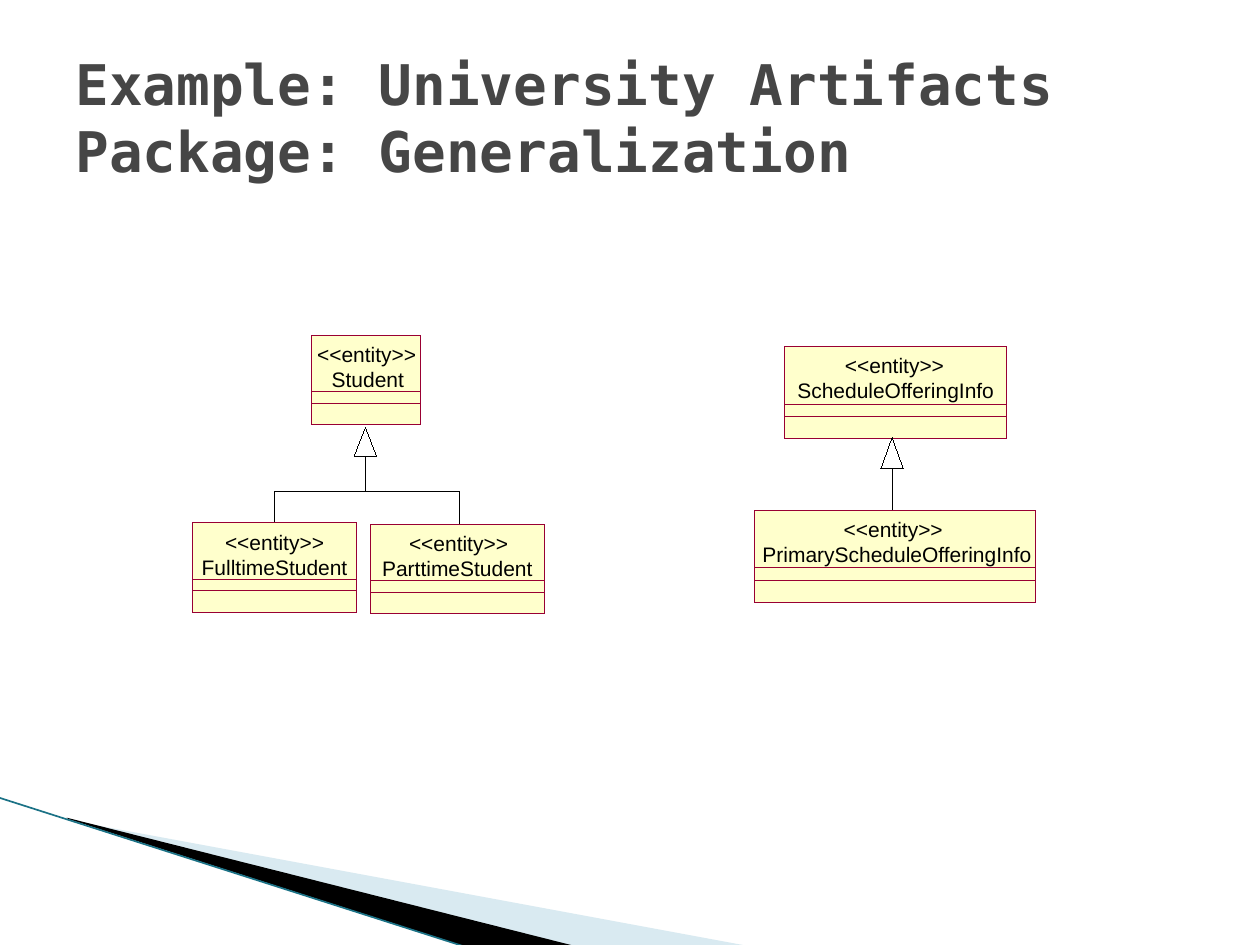
from pptx import Presentation
from pptx.dml.color import RGBColor
from pptx.enum.shapes import MSO_CONNECTOR, MSO_SHAPE
from pptx.enum.text import MSO_ANCHOR, MSO_AUTO_SIZE, PP_ALIGN
from pptx.oxml.ns import qn
from pptx.util import Inches, Pt
from lxml import etree

RECT, STRAIGHT = MSO_SHAPE.RECTANGLE, MSO_CONNECTOR.STRAIGHT
MIDDLE, CENTER = MSO_ANCHOR.MIDDLE, PP_ALIGN.CENTER
HAIRLINE = 0.01  # points; a width of 0 would fall back to the theme's line
rgb = RGBColor.from_string

prs = Presentation()
prs.slide_width, prs.slide_height = Inches(10), Inches(7.5)
s = prs.slides.add_slide(prs.slide_layouts[6])


def add_line(x1, y1, x2, y2, color="000000", width=HAIRLINE):
    cn = s.shapes.add_connector(STRAIGHT, *map(Inches, (x1, y1, x2, y2)))
    cn.line.color.rgb = rgb(color)
    cn.line.width = Pt(width)
    etree.SubElement(cn._element.spPr, qn("a:effectLst"))


def add_polygon(points, fill=None):
    pts = [(Inches(x), Inches(y)) for x, y in points]
    fb = s.shapes.build_freeform(*pts[0])
    fb.add_line_segments(pts[1:], close=True)
    sp = fb.convert_to_shape()
    sp.shadow.inherit = False
    if fill:
        sp.fill.solid()
        sp.fill.fore_color.rgb = rgb(fill)
        sp.line.fill.background()
    else:
        sp.fill.background()
        sp.line.color.rgb = rgb("000000")
        sp.line.width = Pt(HAIRLINE)
    return sp


# Corner wedges
wedge = add_polygon([(0.55, 6.51), (5.95, 7.51), (4.56, 7.51), (0.55, 6.5)], "A0CBDC")
color = wedge.fill._xPr.find(qn("a:solidFill"))[0]
etree.SubElement(color, qn("a:alpha")).set("val", "40000")
add_polygon([(0.53, 6.49), (4.57, 7.51), (3.72, 7.52), (0.54, 6.5)], "000000")
add_line(-0.01, 6.33, 3.71, 7.52, "1B7286", 0.95)

# Generalization lines: stems, branches and the bar joining them
for line in [(7.08, 4.17, 7.08, 3.72), (3.65, 4.17, 3.65, 3.9),
             (2.18, 4.23, 2.18, 3.9), (2.9, 3.9, 2.9, 3.63),
             (2.18, 3.9, 3.65, 3.9)]:
    add_line(*line)

# Entity classes: name, left, top, width, height, compartment height,
# centre of the name, centre of the stereotype
entities = [
    ("FulltimeStudent", 1.53, 4.15, 1.3, 0.71, 0.26, 2.18, 2.18),
    ("ParttimeStudent", 2.94, 4.16, 1.38, 0.71, 0.26, 3.63, 3.64),
    ("PrimaryScheduleOfferingInfo", 5.99, 4.05, 2.23, 0.73, 0.28, 7.12, 7.09),
    ("ScheduleOfferingInfo", 6.23, 2.75, 1.76, 0.73, 0.27, 7.11, 7.1),
    ("Student", 2.47, 2.66, 0.87, 0.71, 0.26, 2.92, 2.91),
]
for name, x, y, w, h, part, name_cx, type_cx in entities:
    # Each layer is a rectangle resting on the class bottom, then its label
    for layer_h, label, cx, label_y in [(h, name, name_cx, y + 0.25),
                                        (part, None, 0, 0),
                                        (0.17, "<<entity>>", type_cx, y + 0.05)]:
        sp = s.shapes.add_shape(RECT, Inches(x), Inches(y + h - layer_h),
                                Inches(w), Inches(layer_h))
        sp.shadow.inherit = False
        sp.fill.solid()
        sp.fill.fore_color.rgb = rgb("FFFFCC")
        sp.line.color.rgb = rgb("990033")
        sp.line.width = Pt(HAIRLINE)
        if label is None:
            continue
        tb = s.shapes.add_textbox(Inches(cx - w / 2), Inches(label_y),
                                  Inches(w), Inches(0.2))
        tf = tb.text_frame
        tf.margin_left = tf.margin_right = tf.margin_top = tf.margin_bottom = 0
        tf.word_wrap = False
        tf.auto_size = MSO_AUTO_SIZE.SHAPE_TO_FIT_TEXT
        tf.text = label
        p = tf.paragraphs[0]
        p.alignment = CENTER
        r = p.runs[0]
        r.font.name, r.font.size = "Arial", Pt(12)
        r.font.color.rgb = rgb("000000")

# Hollow arrowheads
for cx, top, base in [(7.08, 3.47, 3.72), (2.9, 3.39, 3.62)]:
    add_polygon([(cx, top), (cx + 0.09, base), (cx - 0.09, base)])

# Title
tb = s.shapes.add_textbox(Inches(0.5), Inches(0.3), Inches(9), Inches(1.25))
tf = tb.text_frame
tf.word_wrap = True
tf.vertical_anchor = MIDDLE
tf.text = "Example: University Artifacts Package: Generalization"
r = tf.paragraphs[0].runs[0]
r.font.name, r.font.size, r.font.bold = "DejaVu Sans Mono", Pt(32), True
r.font.color.rgb = rgb("464646")

prs.save("out.pptx")
